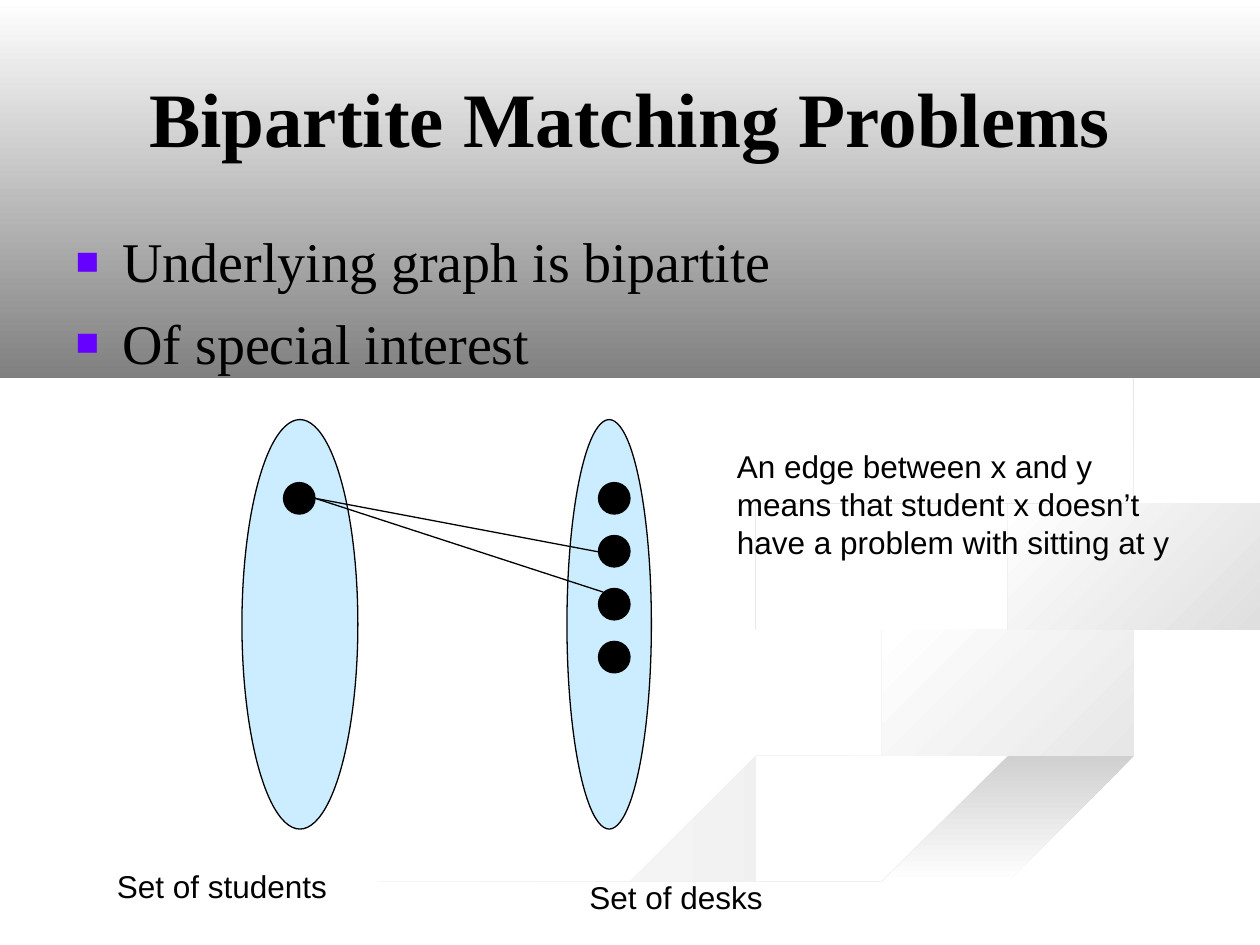
from lxml import etree
from pptx import Presentation
from pptx.dml.color import RGBColor
from pptx.enum.shapes import MSO_CONNECTOR, MSO_SHAPE
from pptx.enum.text import MSO_ANCHOR, PP_ALIGN
from pptx.oxml.ns import qn
from pptx.util import Inches, Pt

OVAL = MSO_SHAPE.OVAL
STRAIGHT = MSO_CONNECTOR.STRAIGHT
MIDDLE = MSO_ANCHOR.MIDDLE
CENTER, LEFT = PP_ALIGN.CENTER, PP_ALIGN.LEFT

THEME = {
    "serif": "Times New Roman", "sans": "Arial",
    "title": 44, "body": 32, "label": 18, "line": 0.75,
    "black": "000000", "white": "FFFFFF", "set": "CCECFF",
    "bullet": "6600FF", "band": "808080",
}

TITLE = "Bipartite Matching Problems"
BULLETS = ["Underlying graph is bipartite", "Of special interest"]

# text, left, top, width, height, space before in points
LABELS = [
    ("Set of students", 0.83, 6.83, 3, 0.4, 11.2),
    ("Set of desks", 4.58, 6.92, 3, 0.4, 11.2),
    ("An edge between x and y means that student x doesn’t "
     "have a problem with sitting at y", 5.75, 3.5, 3.67, 1, 0),
]

SET_TOP, SET_HEIGHT = 3.33, 3.25
SETS = [(1.92, 0.92), (4.5, 0.67)]  # left, width
DOT = 0.25
DOT_TOP, DOT_STEP = 3.83, 0.42
STUDENT_LEFT, DESK_LEFT, DESK_COUNT = 2.25, 4.75, 4
EDGE_ENDS = [(4.75, 4.38), (4.79, 4.7)]

# start colour, clockwise gradient angle, the two curved edges in turn
RIBBONS = [
    ("E7E7E7", 180,
     [(5.75, 4.59), (5.72, 4.76), (6.97, 5.25), (7.7, 5.51), (7.8, 5.79),
      (6.84, 6.13), (4.99, 6.61), (3, 7.49)],
     [(3.61, 7.49), (4.99, 6.87), (7.69, 6.09), (8, 5.81), (7.81, 5.53),
      (6.82, 5.19), (5.94, 4.85), (5.75, 4.59)]),
    ("E7E7E7", 225,
     [(7.24, 4.64), (7.58, 4.98), (8.5, 5.24), (9.19, 5.47), (9.43, 5.7),
      (8.94, 6.05)],
     [(9.18, 5.81), (8.8, 5.49), (7.97, 5.24), (7.39, 4.94), (7.24, 4.64)]),
    ("D0D0D0", 90,
     [(5.03, 7.49), (6.3, 6.93), (7.64, 6.47), (9.98, 5.81)],
     [(9.98, 6.09), (8.21, 6.51), (6.7, 7.02), (5.71, 7.49)]),
    ("DFDFDF", 225,
     [(8.26, 4.96), (8.05, 4.74), (8.59, 4.43), (9.98, 4.2)],
     [(9.98, 4.02), (8.65, 4.24), (7.81, 4.6), (8.26, 4.96)]),
    ("D7D7D7", 225,
     [(7.62, 2.33), (8.54, 2.83), (8.94, 3.44), (8.55, 3.91), (7.64, 4.17),
      (6.49, 4.36), (5.93, 4.7), (6.22, 5)],
     [(5.77, 4.62), (6.25, 4.26), (7.63, 3.98), (8.61, 3.7), (8.85, 3.2),
      (7.62, 2.33)]),
]
BAND = [(0, 0), (0, 3.08), (10, 3.08), (10, 0)]
CURVE_STEPS = 6


def color(value):
    return RGBColor.from_string(value)


def box(*lengths):
    return [Inches(length) for length in lengths]


def place(shape, *lengths):
    shape.left, shape.top, shape.width, shape.height = box(*lengths)


def format_text(paragraph, font_name, size, bold=False):
    for run in paragraph.runs:
        run.font.name = font_name
        run.font.size = Pt(size)
        run.font.bold = bold
        run.font.color.rgb = color(THEME["black"])


def smooth(knots):
    """Points of a Catmull-Rom curve through the knots."""
    padded = [knots[0], *knots, knots[-1]]
    points = []
    for corners in zip(padded, padded[1:], padded[2:], padded[3:]):
        for step in range(CURVE_STEPS):
            t = step / CURVE_STEPS
            points.append(tuple(
                b + t * (c - a) / 2
                + t ** 2 * (2 * a - 5 * b + 4 * c - d) / 2
                + t ** 3 * (3 * b - a - 3 * c + d) / 2
                for a, b, c, d in zip(*corners)))
    return points + [knots[-1]]


def add_outline(slide, points, start_color, end_color, angle):
    builder = slide.shapes.build_freeform(*points[0], scale=Inches(1))
    builder.add_line_segments(points[1:], close=True)
    shape = builder.convert_to_shape()
    shape.shadow.inherit = False
    shape.line.fill.background()
    shape.fill.gradient()
    shape.fill.gradient_angle = 360 - angle
    for stop, value in zip(shape.fill.gradient_stops, (start_color, end_color)):
        stop.color.rgb = color(value)


def add_oval(slide, fill, *lengths):
    shape = slide.shapes.add_shape(OVAL, *box(*lengths))
    shape.shadow.inherit = False
    shape.fill.solid()
    shape.fill.fore_color.rgb = color(fill)
    shape.line.color.rgb = color(THEME["black"])
    shape.line.width = Pt(THEME["line"])


def add_edge(slide, start, end):
    connector = slide.shapes.add_connector(STRAIGHT, *box(*start, *end))
    connector.line.color.rgb = color(THEME["black"])
    connector.line.width = Pt(THEME["line"])
    etree.SubElement(connector._element.spPr, qn("a:effectLst"))


def add_square_bullet(paragraph):
    properties = paragraph._p.get_or_add_pPr()
    properties.set("marL", str(Inches(0.37)))
    properties.set("indent", str(-Inches(0.37)))
    bullet_color = etree.SubElement(properties, qn("a:buClr"))
    etree.SubElement(bullet_color, qn("a:srgbClr"), val=THEME["bullet"])
    etree.SubElement(properties, qn("a:buSzPct"), val="70000")
    etree.SubElement(properties, qn("a:buChar"), char="■")


def add_label(slide, text, left, top, width, height, space_before):
    frame = slide.shapes.add_textbox(*box(left, top, width, height)).text_frame
    frame.word_wrap = True
    frame.text = text
    frame.paragraphs[0].space_before = Pt(space_before)
    format_text(frame.paragraphs[0], THEME["sans"], THEME["label"])


def main():
    presentation = Presentation()
    presentation.slide_width, presentation.slide_height = box(10, 7.5)
    slide = presentation.slides.add_slide(presentation.slide_layouts[1])
    title, body = slide.placeholders

    for start_color, angle, first_edge, second_edge in RIBBONS:
        outline = smooth(first_edge) + smooth(second_edge)
        add_outline(slide, outline, start_color, THEME["white"], angle)
    add_outline(slide, BAND, THEME["white"], THEME["band"], 90)
    for placeholder in (title, body):  # bring the text in front of the backdrop
        slide.shapes._spTree.append(placeholder._element)

    place(title, 0.5, 0.14, 9, 1.57)
    title.text_frame.text = TITLE
    title.text_frame.vertical_anchor = MIDDLE
    title.text_frame.paragraphs[0].alignment = CENTER
    format_text(title.text_frame.paragraphs[0], THEME["serif"], THEME["title"], True)

    place(body, 0.5, 1.75, 9, 4.95)
    body.text_frame.text = "\n".join(BULLETS)
    for paragraph in body.text_frame.paragraphs:
        paragraph.alignment = LEFT
        paragraph.space_before = Pt(8)
        add_square_bullet(paragraph)
        format_text(paragraph, THEME["serif"], THEME["body"])

    for left, width in SETS:
        add_oval(slide, THEME["set"], left, SET_TOP, width, SET_HEIGHT)
    dots = [(STUDENT_LEFT, DOT_TOP)]
    dots += [(DESK_LEFT, DOT_TOP + row * DOT_STEP) for row in range(DESK_COUNT)]
    for left, top in dots:
        add_oval(slide, THEME["black"], left, top, DOT, DOT)
    for end in EDGE_ENDS:
        add_edge(slide, (STUDENT_LEFT + DOT, DOT_TOP + DOT / 2), end)
    for label in LABELS:
        add_label(slide, *label)

    presentation.save("out.pptx")


if __name__ == "__main__":
    main()
